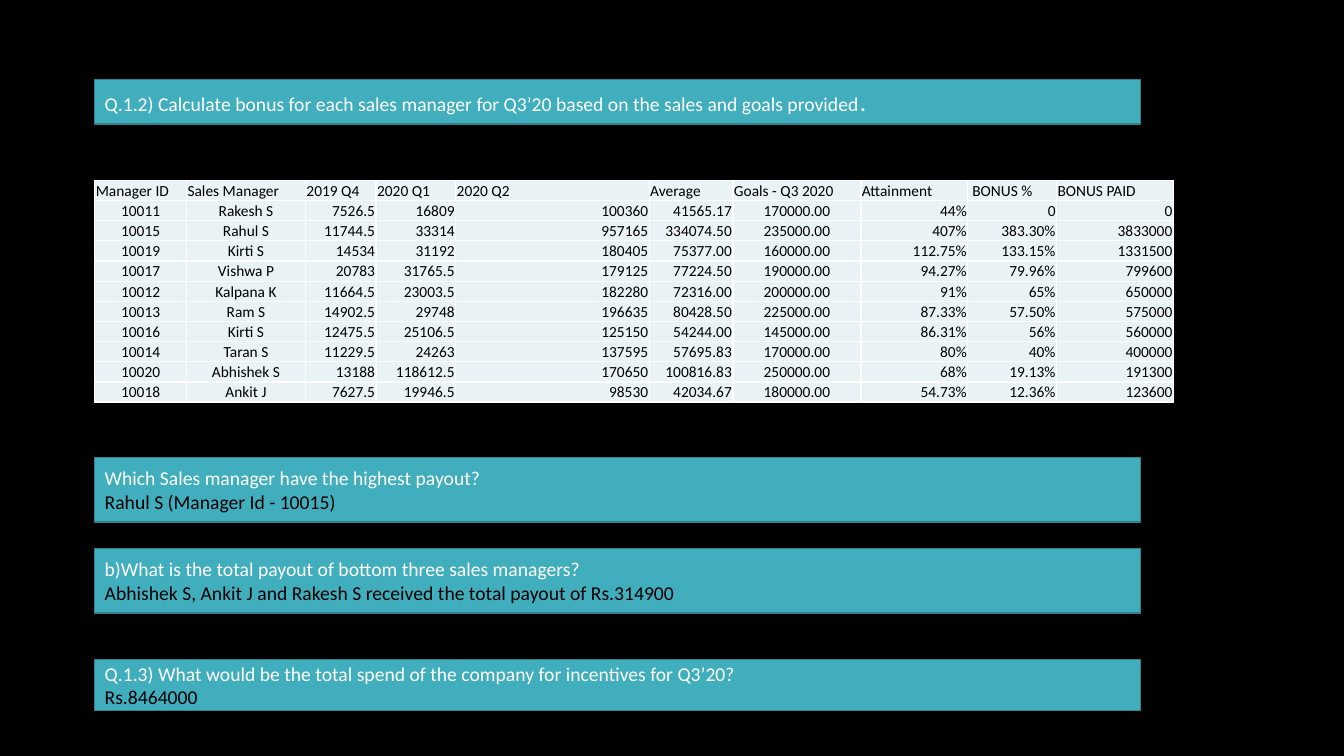
from lxml import etree
from pptx import Presentation
from pptx.dml.color import RGBColor
from pptx.enum.shapes import MSO_SHAPE
from pptx.enum.text import MSO_ANCHOR, PP_ALIGN
from pptx.oxml.ns import qn
from pptx.util import Inches, Pt

BLACK = RGBColor(0x00, 0x00, 0x00)
WHITE = RGBColor(0xFF, 0xFF, 0xFF)
TEAL = RGBColor(0x41, 0xAE, 0xBD)
DARK_TEAL = RGBColor(0x30, 0x81, 0x8C)
PALE_TEAL = RGBColor(0xE9, 0xF2, 0xF4)
RECTANGLE = MSO_SHAPE.RECTANGLE
LEFT, CENTER, RIGHT = PP_ALIGN.LEFT, PP_ALIGN.CENTER, PP_ALIGN.RIGHT
MIDDLE, BOTTOM = MSO_ANCHOR.MIDDLE, MSO_ANCHOR.BOTTOM

LEFT_EDGE = 0.94
BANNER_WIDTH = 10.37

# Top, height and paragraphs; each paragraph is a list of (text, size, colour)
BANNERS = [
    (0.79, 0.44, [
        [("Q.1.2) Calculate bonus for each sales manager for Q3’20 based on the sales and goals provided", 14, WHITE),
         (".", 18, WHITE)],
    ]),
    (4.54, 0.64, [
        [("Which Sales manager have the highest payout?", 14, WHITE)],
        [("Rahul S (Manager Id - 10015)", 14, BLACK)],
    ]),
    (5.44, 0.64, [
        [("b)What is the total payout of bottom three sales managers?", 14, WHITE)],
        [("Abhishek S, Ankit J and Rakesh S received the total payout of Rs.314900", 14, BLACK)],
    ]),
    (6.54, 0.51, [
        [("Q.1.3) What would be the total spend of the company for incentives for Q3’20?", 14, WHITE)],
        [("Rs.8464000", 14, BLACK)],
    ]),
]

# Heading, width, body alignment and body anchor
COLUMNS = [
    ("Manager ID", 0.91, CENTER, MIDDLE),
    ("Sales Manager", 1.18, CENTER, BOTTOM),
    ("2019 Q4", 0.7, RIGHT, BOTTOM),
    ("2020 Q1", 0.79, RIGHT, BOTTOM),
    ("2020 Q2", 1.92, RIGHT, BOTTOM),
    ("Average", 0.83, RIGHT, BOTTOM),
    ("Goals - Q3 2020", 1.27, CENTER, MIDDLE),
    ("Attainment", 1.06, RIGHT, BOTTOM),
    (" BONUS %", 0.88, RIGHT, BOTTOM),
    ("BONUS PAID", 1.16, RIGHT, BOTTOM),
]
MANAGERS = [
    ("10011", "Rakesh S", "7526.5", "16809", "100360", "41565.17", "170000.00", "44%", "0", "0"),
    ("10015", "Rahul S", "11744.5", "33314", "957165", "334074.50", "235000.00", "407%", "383.30%", "3833000"),
    ("10019", "Kirti S", "14534", "31192", "180405", "75377.00", "160000.00", "112.75%", "133.15%", "1331500"),
    ("10017", "Vishwa P", "20783", "31765.5", "179125", "77224.50", "190000.00", "94.27%", "79.96%", "799600"),
    ("10012", "Kalpana K", "11664.5", "23003.5", "182280", "72316.00", "200000.00", "91%", "65%", "650000"),
    ("10013", "Ram S", "14902.5", "29748", "196635", "80428.50", "225000.00", "87.33%", "57.50%", "575000"),
    ("10016", "Kirti S", "12475.5", "25106.5", "125150", "54244.00", "145000.00", "86.31%", "56%", "560000"),
    ("10014", "Taran S", "11229.5", "24263", "137595", "57695.83", "170000.00", "80%", "40%", "400000"),
    ("10020", "Abhishek S", "13188", "118612.5", "170650", "100816.83", "250000.00", "68%", "19.13%", "191300"),
    ("10018", "Ankit J", "7627.5", "19946.5", "98530", "42034.67", "180000.00", "54.73%", "12.36%", "123600"),
]
CELL_FORMAT = {
    "margin_left": Inches(0.01),
    "margin_right": Inches(0.01),
    "margin_top": Inches(0.01),
    "margin_bottom": 0,
}


def add_run(paragraph, text, size, color):
    run = paragraph.add_run()
    run.text = text
    run.font.name = "Calibri"
    run.font.size = Pt(size)
    run.font.color.rgb = color


def add_cell_borders(cell):
    properties = cell._tc.get_or_add_tcPr()
    for side in ("a:lnL", "a:lnR", "a:lnT", "a:lnB"):
        line = etree.SubElement(properties, qn(side), w=str(Pt(1)))
        fill = etree.SubElement(line, qn("a:solidFill"))
        etree.SubElement(fill, qn("a:srgbClr"), val=str(WHITE))


presentation = Presentation()
presentation.slide_width = Inches(13.33)
presentation.slide_height = Inches(7.5)
slide = presentation.slides.add_slide(presentation.slide_layouts[6])
slide.background.fill.solid()
slide.background.fill.fore_color.rgb = BLACK

# Question and answer banners
for top, height, paragraphs in BANNERS:
    banner = slide.shapes.add_shape(
        RECTANGLE, Inches(LEFT_EDGE), Inches(top), Inches(BANNER_WIDTH), Inches(height))
    banner.shadow.inherit = False
    banner.fill.solid()
    banner.fill.fore_color.rgb = TEAL
    banner.line.color.rgb = DARK_TEAL
    banner.line.width = Pt(1)
    text_frame = banner.text_frame
    text_frame.word_wrap = True
    text_frame.vertical_anchor = MIDDLE
    for index, runs in enumerate(paragraphs):
        paragraph = text_frame.add_paragraph() if index else text_frame.paragraphs[0]
        paragraph.alignment = LEFT
        for text, size, color in runs:
            add_run(paragraph, text, size, color)

# Bonus table
rows = [[heading for heading, *_ in COLUMNS], *MANAGERS]
table_width = sum(width for _, width, *_ in COLUMNS)
table = slide.shapes.add_table(
    len(rows), len(COLUMNS), Inches(LEFT_EDGE), Inches(1.79), Inches(table_width), Inches(2.18)).table
table.first_row = False
table.horz_banding = False
for column, (_, width, *_) in zip(table.columns, COLUMNS):
    column.width = Inches(width)
for row_index, values in enumerate(rows):
    is_heading = row_index == 0
    table.rows[row_index].height = Inches(0.19 if is_heading else 0.2)
    for column_index, value in enumerate(values):
        _, _, alignment, anchor = COLUMNS[column_index]
        cell = table.cell(row_index, column_index)
        for name, setting in CELL_FORMAT.items():
            setattr(cell, name, setting)
        cell.vertical_anchor = BOTTOM if is_heading else anchor
        add_cell_borders(cell)
        cell.fill.solid()
        cell.fill.fore_color.rgb = PALE_TEAL
        paragraph = cell.text_frame.paragraphs[0]
        paragraph.alignment = LEFT if is_heading else alignment
        add_run(paragraph, value, 11, BLACK)

presentation.save("out.pptx")
